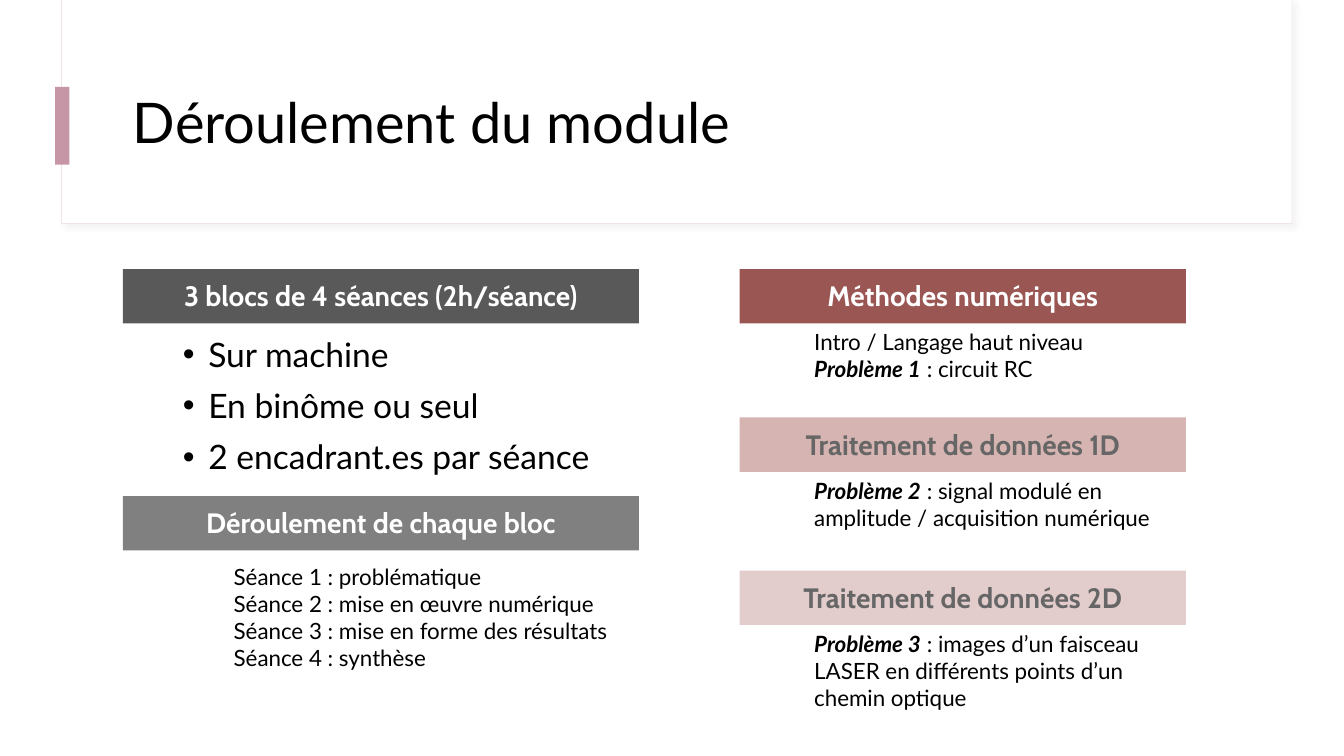
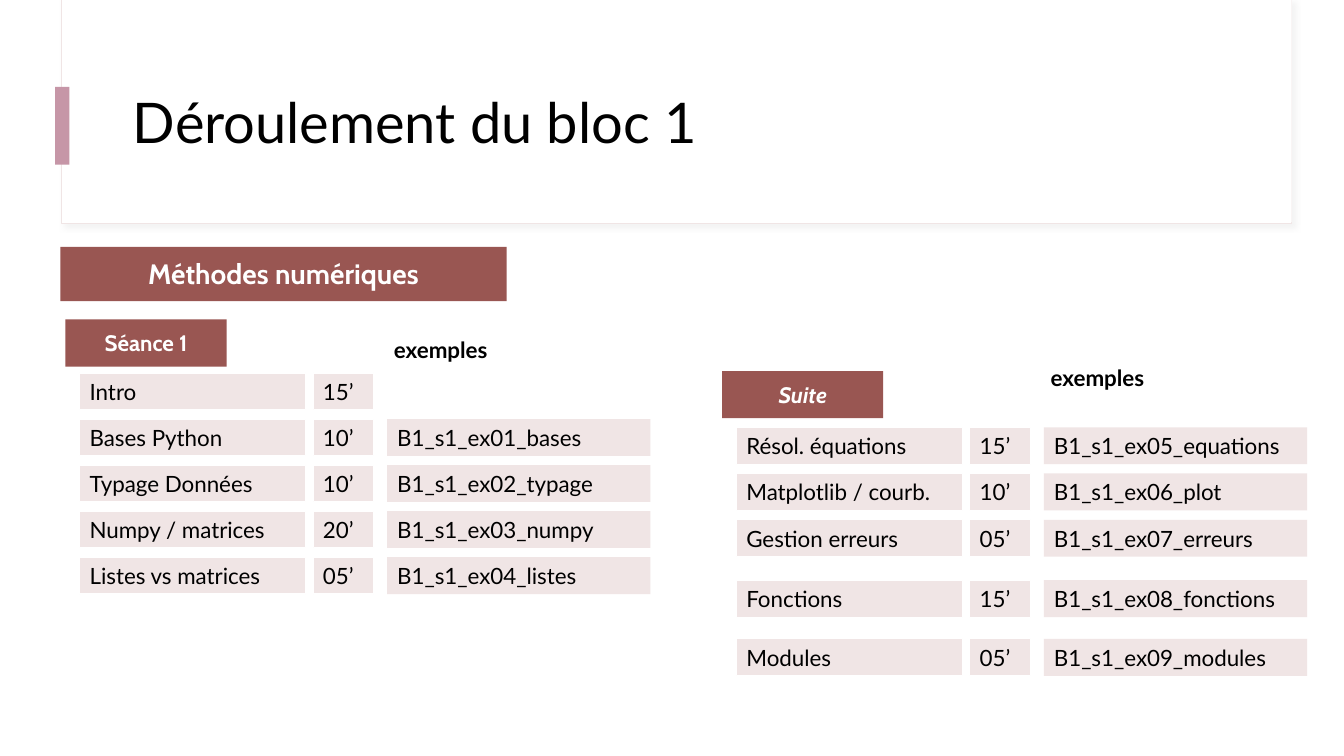
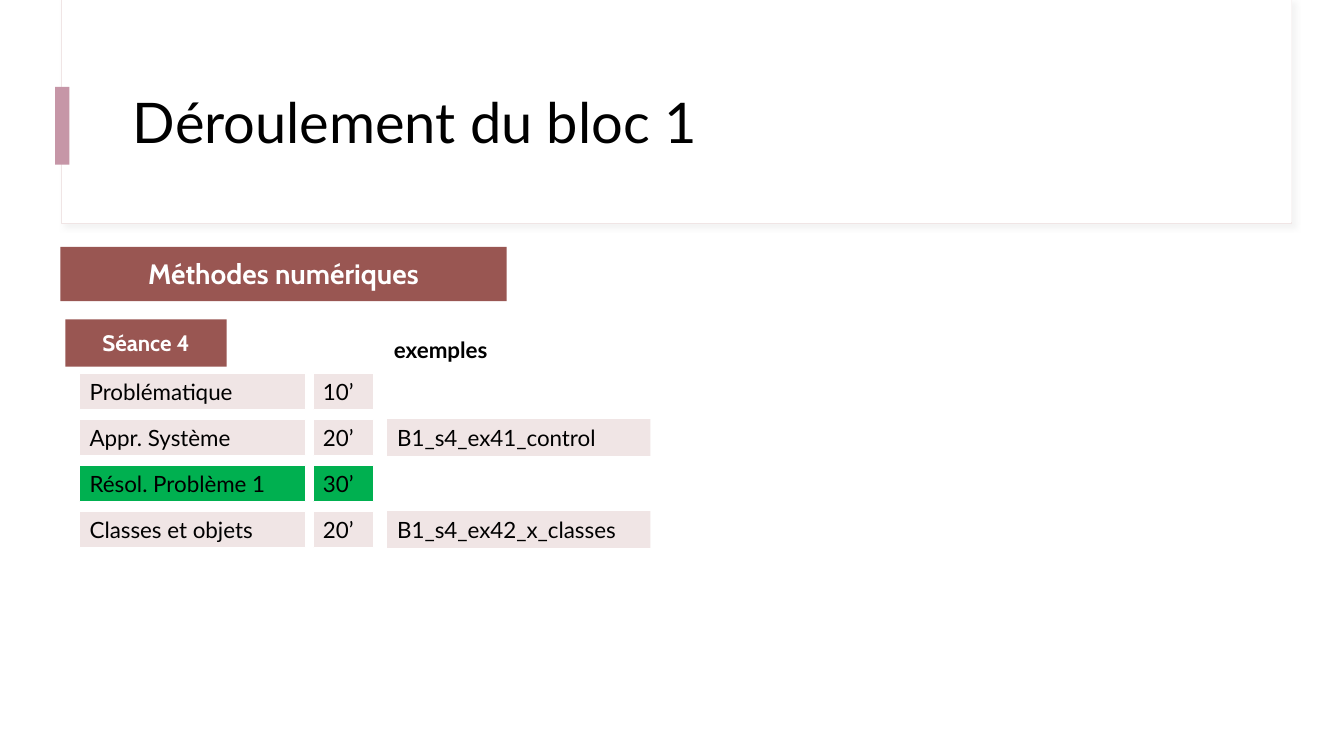
from lxml import etree
from pptx import Presentation
from pptx.dml.color import RGBColor
from pptx.enum.shapes import MSO_SHAPE
from pptx.enum.text import MSO_ANCHOR, MSO_AUTO_SIZE, PP_ALIGN
from pptx.oxml import parse_xml
from pptx.oxml.ns import nsdecls, qn
from pptx.util import Cm, Pt

RECT = MSO_SHAPE.RECTANGLE
TOP, MIDDLE = MSO_ANCHOR.TOP, MSO_ANCHOR.MIDDLE
LEFT, CENTER = PP_ALIGN.LEFT, PP_ALIGN.CENTER
FIT_SHAPE, NO_FIT = MSO_AUTO_SIZE.SHAPE_TO_FIT_TEXT, MSO_AUTO_SIZE.NONE

# Theme
BLACK = RGBColor(0x00, 0x00, 0x00)
WHITE = RGBColor(0xFF, 0xFF, 0xFF)
MAUVE = RGBColor(0xC6, 0x96, 0xA7)
BRICK = RGBColor(0x99, 0x56, 0x52)
ROSE = RGBColor(0xD6, 0xB4, 0xB2)
PALE_ROSE = RGBColor(0xE3, 0xCD, 0xCC)
BLUSH = RGBColor(0xF0, 0xE5, 0xE5)
DARK_GREY = RGBColor(0x59, 0x59, 0x59)
MID_GREY = RGBColor(0x80, 0x80, 0x80)
TEXT_GREY = RGBColor(0x66, 0x66, 0x66)
GREEN = RGBColor(0x00, 0xB0, 0x50)
BODY, HEADING = "Lato", "Cabin"

# Schedule grid, in cm
ROW_PITCH = 1.16
COLUMNS = ((0, 5.69), (5.88, 1.52), (7.75, 6.63))  # offset, width
ROW_H = 0.93
BAND_H = 1.37

FRAME_SHADOW = (
    f'<a:effectLst {nsdecls("a")}>'
    '<a:outerShdw blurRad="50800" dist="38100" dir="2700000" algn="tl" rotWithShape="0">'
    '<a:srgbClr val="D9D9D9"><a:alpha val="30000"/></a:srgbClr>'
    '</a:outerShdw></a:effectLst>')


def write(shape, paragraphs, size=16, font=BODY, color=BLACK, bold=False, italic=False,
          align=LEFT, anchor=TOP, inset=0.13, spacing=None, before=0, bullet=False,
          fit=FIT_SHAPE):
    """Each paragraph is a string or a (bold italic lead, rest) pair."""
    tf = shape.text_frame
    tf.word_wrap = True
    tf.auto_size = fit
    tf.vertical_anchor = anchor
    tf.margin_left = tf.margin_right = Cm(0.25)
    tf.margin_top = tf.margin_bottom = Cm(inset)
    for i, content in enumerate(paragraphs):
        p = tf.add_paragraph() if i else tf.paragraphs[0]
        p.alignment = align
        p.line_spacing = spacing
        p.space_before = Pt(before)
        if bullet:
            add_bullet(p)
        lead, rest = ("", content) if isinstance(content, str) else content
        for text, strong in ((lead, True), (rest, False)):
            if not text:
                continue
            r = p.add_run()
            r.text = text
            r.font.name, r.font.size = font, Pt(size)
            r.font.color.rgb = color
            r.font.bold, r.font.italic = bold or strong, italic or strong


def add_bullet(p):
    pPr = p._p.get_or_add_pPr()
    pPr.set("marL", str(Cm(1.9)))
    pPr.set("indent", str(-Cm(0.64)))
    etree.SubElement(pPr, qn("a:buFont")).set("typeface", "Arial")
    etree.SubElement(pPr, qn("a:buChar")).set("char", "•")


def add_rect(s, x, y, w, h, fill, line=None):
    sp = s.shapes.add_shape(RECT, Cm(x), Cm(y), Cm(w), Cm(h))
    sp.shadow.inherit = False
    sp.fill.solid()
    sp.fill.fore_color.rgb = fill
    if line is None:
        sp.line.fill.background()
    else:
        sp.line.color.rgb = line
        sp.line.width = Pt(0.75)
    return sp


def add_text(s, x, y, w, h, paragraphs, **fmt):
    write(s.shapes.add_textbox(Cm(x), Cm(y), Cm(w), Cm(h)), paragraphs, **fmt)


def add_band(s, x, y, w, text, fill, h=BAND_H, size=20, color=WHITE, **fmt):
    write(add_rect(s, x, y, w, h, fill), [text], size=size, font=HEADING, color=color,
          bold=True, align=CENTER, inset=0.25, **fmt)


def add_slide(prs, title):
    """Blank slide with the framed header, its accent bar and the title."""
    s = prs.slides.add_slide(prs.slide_layouts[6])
    frame = add_rect(s, 1.56, 0, 31, 5.63, WHITE, BLUSH)
    spPr = frame._element.spPr
    spPr.remove(spPr.find(qn("a:effectLst")))
    spPr.append(parse_xml(FRAME_SHADOW))
    add_rect(s, 1.57, 0, 30.98, 5.6, WHITE)
    add_rect(s, 1.39, 2.19, 0.36, 1.96, MAUVE)
    add_text(s, 3.1, 1.52, 28.24, 3.28, [title], size=40, anchor=MIDDLE, spacing=0.9,
             fit=NO_FIT)
    return s


def add_schedule(s, x, tops, rows):
    """Rows of (label, duration, example file, fill); empty cells are left out."""
    for y, (*cells, fill) in zip(tops, rows):
        for (dx, w), text, line in zip(COLUMNS, cells, (WHITE, WHITE, None)):
            if text:
                write(add_rect(s, x + dx, y, w, ROW_H, fill, line), [text])


def add_session(s, name, x, y, rows, tops, examples_y, italic=False):
    """Session label, column heading and schedule."""
    add_band(s, x, y, 4.06, name, BRICK, h=1.19, size=16, italic=italic)
    add_text(s, x + 8.03, examples_y, 5.05, ROW_H, ["exemples"], bold=True)
    add_schedule(s, x + 0.36, tops, rows)


def module_slide(prs):
    s = add_slide(prs, "Déroulement du module")
    # Organisation
    add_band(s, 3.1, 6.78, 13, "3 blocs de 4 séances (2h/séance)", DARK_GREY)
    add_text(s, 3.1, 8.18, 13.72, 3.9,
             ["Sur machine", "En binôme ou seul", "2 encadrant.es par séance"],
             size=24, spacing=1.1, before=5, bullet=True)
    add_band(s, 3.1, 12.5, 13, "Déroulement de chaque bloc", MID_GREY)
    add_text(s, 5.64, 14.07, 10.49, 3.07,
             ["Séance 1 : problématique", "Séance 2 : mise en œuvre numérique",
              "Séance 3 : mise en forme des résultats", "Séance 4 : synthèse"])
    # The three blocks, each with its problem underneath
    blocks = (
        (6.78, "Méthodes numériques", BRICK, WHITE,
         ["Intro / Langage haut niveau", ("Problème 1", " : circuit RC")]),
        (10.52, "Traitement de données 1D", ROSE, TEXT_GREY,
         [("Problème 2", " : signal modulé en amplitude / acquisition numérique")]),
        (14.38, "Traitement de données 2D", PALE_ROSE, TEXT_GREY,
         [("Problème 3", " : images d’un faisceau LASER en différents points d’un "
                         "chemin optique")]),
    )
    for y, name, fill, color, notes in blocks:
        add_band(s, 18.64, y, 11.25, name, fill, color=color)
        add_text(s, 20.27, y + BAND_H, 9.63, 1.63, notes)


def block_slide(prs, session, rows):
    s = add_slide(prs, "Déroulement du bloc 1")
    add_band(s, 1.52, 6.22, 11.25, "Méthodes numériques", BRICK)
    tops = [9.4 + i * ROW_PITCH for i in range(len(rows))]
    add_session(s, session, 1.65, 8.05, rows, tops, 8.33)
    return s


def main():
    prs = Presentation()
    prs.slide_width, prs.slide_height = Cm(33.87), Cm(19.05)

    module_slide(prs)

    s = block_slide(prs, "Séance 1", (
        ("Intro", "15’", "", BLUSH),
        ("Bases Python", "10’", "B1_s1_ex01_bases", BLUSH),
        ("Typage Données", "10’", "B1_s1_ex02_typage", BLUSH),
        ("Numpy / matrices", "20’", "B1_s1_ex03_numpy", BLUSH),
        ("Listes vs matrices", "05’", "B1_s1_ex04_listes", BLUSH),
    ))
    add_session(s, "Suite", 18.2, 9.35, (
        ("Résol. équations", "15’", "B1_s1_ex05_equations", BLUSH),
        ("Matplotlib / courb.", "10’", "B1_s1_ex06_plot", BLUSH),
        ("Gestion erreurs", "05’", "B1_s1_ex07_erreurs", BLUSH),
        ("Fonctions", "15’", "B1_s1_ex08_fonctions", BLUSH),
        ("Modules", "05’", "B1_s1_ex09_modules", BLUSH),
    ), (10.77, 11.93, 13.1, 14.62, 16.1), 9.04, italic=True)

    block_slide(prs, "Séance 4", (
        ("Problématique", "10’", "", BLUSH),
        ("Appr. Système", "20’", "B1_s4_ex41_control", BLUSH),
        ("Résol. Problème 1", "30’", "", GREEN),
        ("Classes et objets", "20’", "B1_s4_ex42_x_classes", BLUSH),
    ))

    prs.save("out.pptx")


if __name__ == "__main__":
    main()
